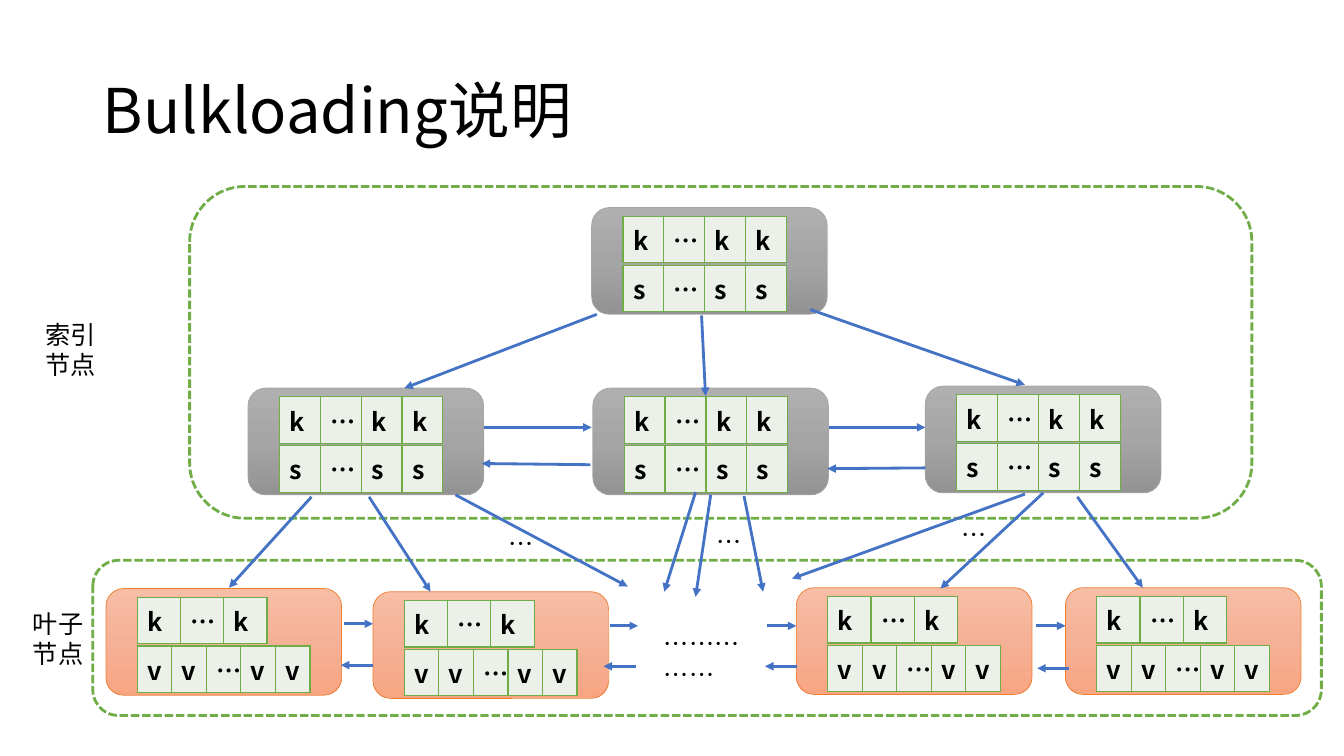
from copy import deepcopy
from lxml import etree
from pptx import Presentation
from pptx import util as u
from pptx.dml import color
from pptx.enum import dml, shapes, text
from pptx.oxml import ns

FONT = "Noto Sans CJK SC"
GREEN, BLUE, BLACK, CELL = "70AD47", "4472C4", "000000", "EBF1E9"
BOTTOM = 2
rgb = color.RGBColor.from_string

prs = Presentation()
prs.slide_width, prs.slide_height = u.Cm(33.87), u.Cm(19.05)
slide = prs.slides.add_slide(prs.slide_layouts[5])


def style_text(frame, size, bold=False):
    for paragraph in frame.paragraphs:
        for run in paragraph.runs:
            run.font.size, run.font.bold, run.font.name = u.Pt(size), bold, FONT
            run.font.color.rgb = rgb(BLACK)
            etree.SubElement(run.font._element, ns.qn("a:ea"), typeface=FONT)


def add_cells(left, top, labels, col_width):
    grid = slide.shapes.add_table(1, len(labels), u.Cm(left), u.Cm(top),
                                  u.Cm(col_width * len(labels)), u.Cm(1.02)).table
    grid.first_row = grid.horz_banding = False
    for col, label in enumerate(labels):
        grid.columns[col].width = u.Cm(col_width)
        cell = grid.cell(0, col)
        cell.text_frame.text = label
        style_text(cell.text_frame, 18, bold=True)
        props = cell._tc.get_or_add_tcPr()
        for side in ("lnL", "lnR", "lnT", "lnB"):
            border = etree.SubElement(props, ns.qn("a:" + side), w=str(u.Pt(1)))
            solid = etree.SubElement(border, ns.qn("a:solidFill"))
            etree.SubElement(solid, ns.qn("a:srgbClr"), val=GREEN)
        cell.fill.solid()
        cell.fill.fore_color.rgb = rgb(CELL)


# Title
title = slide.shapes.title
title.left, title.top, title.width, title.height = u.Cm(2.34), u.Cm(1.02), u.Cm(29.21), u.Cm(3.68)
title.text_frame.text = "Bulkloading说明"
title.text_frame.vertical_anchor = text.MSO_ANCHOR.MIDDLE
title.text_frame.paragraphs[0].alignment = text.PP_ALIGN.LEFT
title.text_frame.paragraphs[0].line_spacing = 0.9
style_text(title.text_frame, 44)

# Dashed frames around the leaf level and the index levels
for box in [(2.34, 14.12, 30.96, 3.91), (4.78, 4.7, 26.77, 8.36)]:
    level = slide.shapes.add_shape(shapes.MSO_SHAPE.ROUNDED_RECTANGLE, *map(u.Cm, box))
    level.shadow.inherit = False
    level.fill.solid()
    level.fill.fore_color.rgb = rgb("FFFFFF")
    level.line.color.rgb = rgb(GREEN)
    level.line.width = u.Pt(2)
    level.line.dash_style = dml.MSO_LINE.SQUARE_DOT

# Nodes: each holds a row of keys above a row of values or child pointers
leaf_kind = (("F7BDA5", "F5B196", "F8A582"), "ED7D31", ("k…k", 1.09), ("vv…vv", 0.87))
index_kind = (("AFAFAF", "A5A5A5", "939393"), "A5A5A5", ("k…kk", 1.03), ("s…ss", 1.03))
levels = [
    (leaf_kind, [(2.67, 14.83), (9.4, 14.91), (20.07, 14.81), (26.85, 14.81)]),
    (index_kind, [(6.25, 9.78), (14.94, 9.78), (23.32, 9.73), (14.91, 5.23)]),
]
nodes = {}
for (shades, outline, keys, entries), places in levels:
    for left, top in places:
        node = slide.shapes.add_shape(shapes.MSO_SHAPE.ROUNDED_RECTANGLE,
                                      u.Cm(left), u.Cm(top), u.Cm(5.94), u.Cm(2.69))
        node.shadow.inherit = False
        node.fill.gradient()
        node.fill.gradient_angle = 270
        first_stop = node.fill.gradient_stops[0]._gs
        first_stop.addnext(deepcopy(first_stop))
        for stop, shade, position in zip(node.fill.gradient_stops, shades, (0, 0.5, 1)):
            stop.color.rgb = rgb(shade)
            stop.position = position
        node.line.color.rgb = rgb(outline)
        node.line.width = u.Pt(0.5)
        add_cells(left + 0.79, top + 0.22, *keys)
        add_cells(left + 0.79, top + 1.45, *entries)
        nodes[left, top] = node

# Labels and ellipses
labels = [
    ("……………", 16.48, 15.72, 2.74, 1.02),
    ("叶子\n节点", 0.58, 15.21, 1.8, 1.8),
    ("索引\n节点", 0.89, 7.92, 1.8, 1.8),
    ("…", 17.81, 13.13, 0.97, 1.02),
    ("…", 12.57, 13.18, 0.97, 1.02),
    ("…", 23.98, 12.95, 0.97, 1.02),
]
for words, *box in labels:
    label = slide.shapes.add_textbox(*map(u.Cm, box)).text_frame
    label.word_wrap = True
    label.text = words
    for paragraph in label.paragraphs:
        paragraph.line_spacing = u.Pt(21.6)
    style_text(label, 18)

# Arrows: start x, y, end x, y
arrows = [
    # Root to index nodes
    (15.04, 7.92, 10.19, 9.78), (17.68, 7.95, 17.78, 9.98), (20.42, 7.8, 25.83, 9.7),
    # Index nodes to leaves
    (7.85, 12.52, 5.77, 14.81), (9.3, 12.52, 10.85, 14.91), (11.48, 12.47, 15.82, 14.78),
    (17.53, 12.4, 16.74, 14.91), (17.91, 12.47, 17.53, 15.04), (18.75, 12.5, 19.23, 14.91),
    (25.83, 12.45, 19.96, 14.58), (26.29, 12.42, 23.7, 14.83), (27.15, 12.52, 28.8, 14.81),
    # Leaf to next leaf
    (8.66, 15.72, 9.4, 15.72), (15.37, 15.77, 16.08, 15.77),
    (19.33, 15.77, 20.07, 15.77), (26.11, 15.77, 26.85, 15.77),
    # Leaf to previous leaf
    (9.4, 16.76, 8.59, 16.76), (16.03, 16.79, 15.21, 16.79),
    (20.09, 16.79, 19.28, 16.79), (26.95, 16.84, 26.14, 16.84),
    # Index node to next and previous
    (12.19, 10.77, 14.91, 10.77), (20.88, 10.77, 23.32, 10.77),
    (14.88, 11.71, 12.14, 11.68), (23.32, 11.79, 20.85, 11.81),
]
# Arrows that leave from the middle of a node's bottom side
joined = {(17.91, 12.47): nodes[14.94, 9.78], (26.29, 12.42): nodes[23.32, 9.73]}
for ends in arrows:
    arrow = slide.shapes.add_connector(shapes.MSO_CONNECTOR.STRAIGHT, *map(u.Cm, ends))
    if ends[:2] in joined:
        arrow.begin_connect(joined[ends[:2]], BOTTOM)
    arrow.line.color.rgb = rgb(BLUE)
    arrow.line.width = u.Pt(2)
    etree.SubElement(arrow.line._get_or_add_ln(), ns.qn("a:tailEnd"), type="triangle")
    etree.SubElement(arrow._element.spPr, ns.qn("a:effectLst"))

prs.save("out.pptx")
